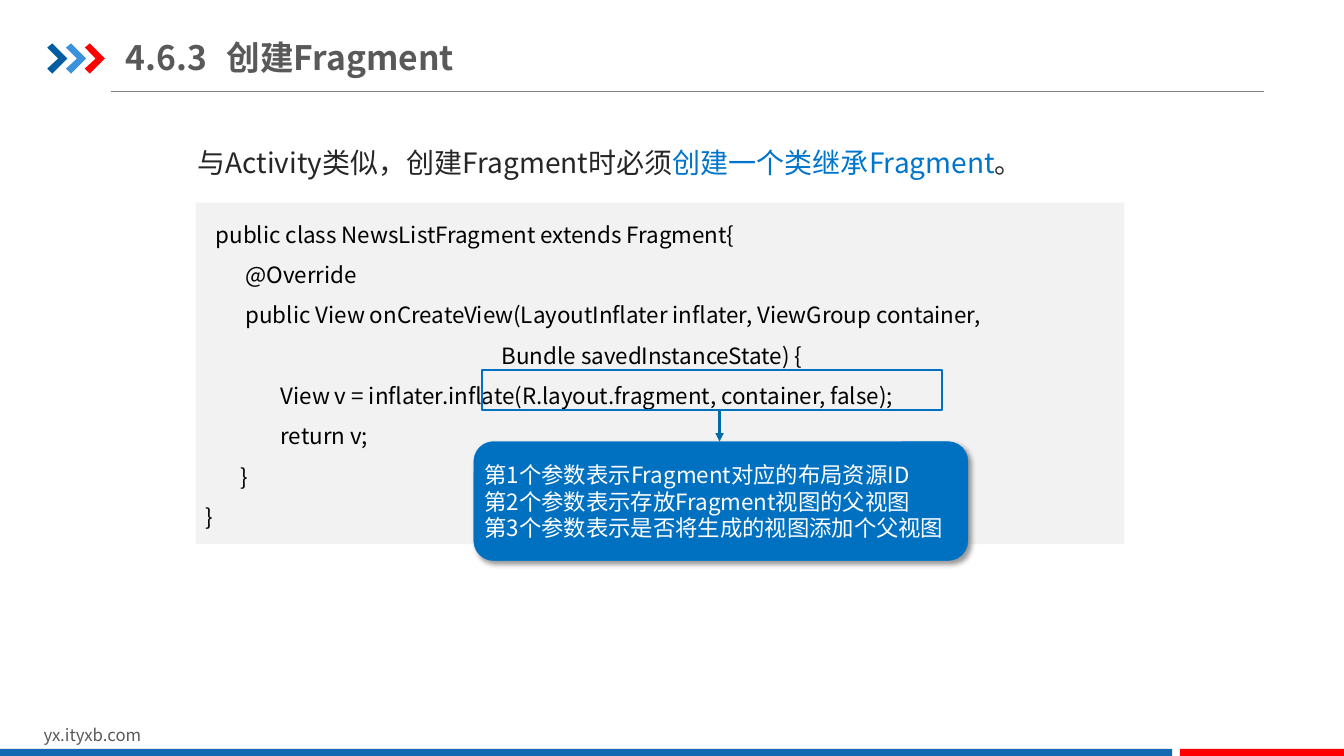
"""Build the slide on creating a Fragment, with annotated code."""
from lxml import etree
from pptx import Presentation
from pptx.dml.color import RGBColor
from pptx.enum import shapes, text
from pptx.oxml import ns
from pptx.util import Pt

HEADING = "4.6.3\t创建Fragment"
SITE = "yx.ityxb.com"
INTRO = [("与Activity类似，创建Fragment时必须", False),
         ("创建一个类继承Fragment", True),
         ("。", False)]
CODE = [
    "  public class NewsListFragment extends Fragment{",
    "        @Override",
    "        public View onCreateView(LayoutInflater inflater, ViewGroup container,",
    "\t\t\t                             Bundle savedInstanceState) {",
    "               View v = inflater.inflate(R.layout.fragment, container, false);",
    "               return v;",
    "       }",
    "}",
]
PARAMETERS = [
    "第1个参数表示Fragment对应的布局资源ID",
    "第2个参数表示存放Fragment视图的父视图",
    "第3个参数表示是否将生成的视图添加个父视图",
]

FONT = "Noto Sans CJK SC"
BLACK = RGBColor(0, 0, 0)
WHITE = RGBColor(0xFF, 0xFF, 0xFF)
INK = RGBColor(0x26, 0x26, 0x26)
SLATE = RGBColor(0x59, 0x59, 0x59)
GREY = RGBColor(0x80, 0x80, 0x80)
PANEL = RGBColor(0xF2, 0xF2, 0xF2)
ACCENT = RGBColor(0x00, 0x75, 0xCC)
CALLOUT = RGBColor(0x00, 0x70, 0xC0)
ARROW = RGBColor(0x00, 0x6B, 0xA9)
BAR = RGBColor(0x13, 0x69, 0xB2)
RED = RGBColor(0xFF, 0, 0)
CHEVRONS = [RGBColor(0x00, 0x5D, 0xA2), RGBColor(0x39, 0x92, 0xDB), RED]
CHEVRON_OUTLINE = [(0, 3), (3.6, 0), (14.4, 10.8), (3.6, 21.6), (0, 18), (7.8, 10.8)]
CHEVRON_LEFT, CHEVRON_TOP, CHEVRON_STEP = 33.8, 31, 13.4

A = ns.nsdecls("a")
SHADOW = (f'<a:effectLst {A}><a:outerShdw blurRad="50800" dist="38100" dir="2700000" '
          'algn="tl" rotWithShape="0"><a:srgbClr val="000000"><a:alpha val="40000"/>'
          '</a:srgbClr></a:outerShdw></a:effectLst>')


def style(run, size, color, bold=False):
    """Set the Latin and East Asian typeface, size and colour of a run."""
    run.font.name, run.font.size, run.font.bold = FONT, Pt(size), bold
    run.font.color.rgb = color
    east_asian = etree.SubElement(run.font._element, ns.qn("a:ea"))
    east_asian.set("typeface", FONT)


def write(frame, lines, size, color, spacing=1.0, bold=False):
    """Fill a text frame with left-aligned lines."""
    frame.word_wrap = True
    frame.text = "\n".join(lines)
    for paragraph in frame.paragraphs:
        paragraph.alignment = text.PP_ALIGN.LEFT
        paragraph.line_spacing = spacing
        for run in paragraph.runs:
            style(run, size, color, bold)


def inset(frame, left, top, right, bottom):
    """Set the four text margins in points."""
    frame.margin_left, frame.margin_top = Pt(left), Pt(top)
    frame.margin_right, frame.margin_bottom = Pt(right), Pt(bottom)


def paint(shape, fill=None, line=None, width=1.0):
    """Set fill and outline, leaving out what is not given."""
    shape.shadow.inherit = False
    if fill is None:
        shape.fill.background()
    else:
        shape.fill.solid()
        shape.fill.fore_color.rgb = fill
    if line is None:
        shape.line.fill.background()
    else:
        shape.line.color.rgb = line
        shape.line.width = Pt(width)


def add_box(slide, kind, box, **colors):
    """Add a painted preset shape."""
    shape = slide.shapes.add_shape(kind, *map(Pt, box))
    paint(shape, **colors)
    return shape


def add_line(slide, start, end, color, width):
    """Add a straight line without a shadow."""
    line = slide.shapes.add_connector(
        shapes.MSO_CONNECTOR.STRAIGHT, *map(Pt, start + end))
    line.line.color.rgb, line.line.width = color, Pt(width)
    etree.SubElement(line._element.spPr, ns.qn("a:effectLst"))
    return line


def add_frame(slide):
    """Draw the rule, chevrons, site name and bottom bars."""
    add_line(slide, (79.2, 65.5), (902.9, 65.5), GREY, 0.75)
    for index, color in enumerate(CHEVRONS):
        left = CHEVRON_LEFT + index * CHEVRON_STEP
        points = [(Pt(left + x), Pt(CHEVRON_TOP + y)) for x, y in CHEVRON_OUTLINE]
        builder = slide.shapes.build_freeform(*points[0], scale=1.0)
        builder.add_line_segments(points[1:], close=True)
        paint(builder.convert_to_shape(), fill=color)
    site = slide.shapes.add_textbox(Pt(24), Pt(514), Pt(229), Pt(21.6))
    write(site.text_frame, [SITE], 12, SLATE)
    for left, width, color in [(0, 837.2, BAR), (842.8, 117.2, RED)]:
        add_box(slide, shapes.MSO_SHAPE.RECTANGLE, (left, 535, width, 5), fill=color)


def add_heading(slide):
    """Place the title and the introductory sentence."""
    title = slide.shapes.title
    title.left, title.top, title.width, title.height = map(Pt, (90, 21, 463.7, 39.6))
    title.text_frame.vertical_anchor = text.MSO_ANCHOR.MIDDLE
    title.text_frame.auto_size = text.MSO_AUTO_SIZE.NONE
    inset(title.text_frame, 0, 5, 0, 5)
    write(title.text_frame, [HEADING], 24, SLATE, bold=True)

    intro = slide.shapes.add_textbox(Pt(134), Pt(88.6), Pt(703.4), Pt(44))
    intro.text_frame.word_wrap = True
    sentence = intro.text_frame.paragraphs[0]
    sentence.line_spacing = 1.5
    for words, emphasised in INTRO:
        run = sentence.add_run()
        run.text = words
        style(run, 20, ACCENT if emphasised else INK)


def add_code(slide):
    """Place the code panel, the highlight and its explanation."""
    rectangle = shapes.MSO_SHAPE.RECTANGLE
    panel = add_box(slide, rectangle, (139.8, 144.8, 663.4, 243.9), fill=PANEL)
    panel.text_frame.vertical_anchor = text.MSO_ANCHOR.TOP
    write(panel.text_frame, CODE, 16, BLACK, spacing=1.5)

    add_box(slide, rectangle, (344, 264.4, 329, 28.4), line=CALLOUT, width=1.5)

    callout = add_box(slide, shapes.MSO_SHAPE.ROUNDED_RECTANGLE,
                      (338.4, 315.4, 353, 85), fill=CALLOUT, line=ACCENT, width=0.25)
    properties = callout._element.spPr
    properties.replace(properties.find(ns.qn("a:effectLst")), etree.fromstring(SHADOW))
    callout.text_frame.vertical_anchor = text.MSO_ANCHOR.MIDDLE
    inset(callout.text_frame, 3.6, 3.6, 0, 3.6)
    write(callout.text_frame, PARAMETERS, 16, WHITE)

    arrow = add_line(slide, (514, 293), (514, 315.4), ARROW, 2)
    etree.SubElement(arrow.line._get_or_add_ln(), ns.qn("a:tailEnd")).set("type", "triangle")


def main():
    """Assemble and save the slide."""
    deck = Presentation()
    deck.slide_width, deck.slide_height = Pt(960), Pt(540)
    slide = deck.slides.add_slide(deck.slide_layouts[5])
    add_frame(slide)
    add_heading(slide)
    add_code(slide)
    deck.save("out.pptx")


if __name__ == "__main__":
    main()
